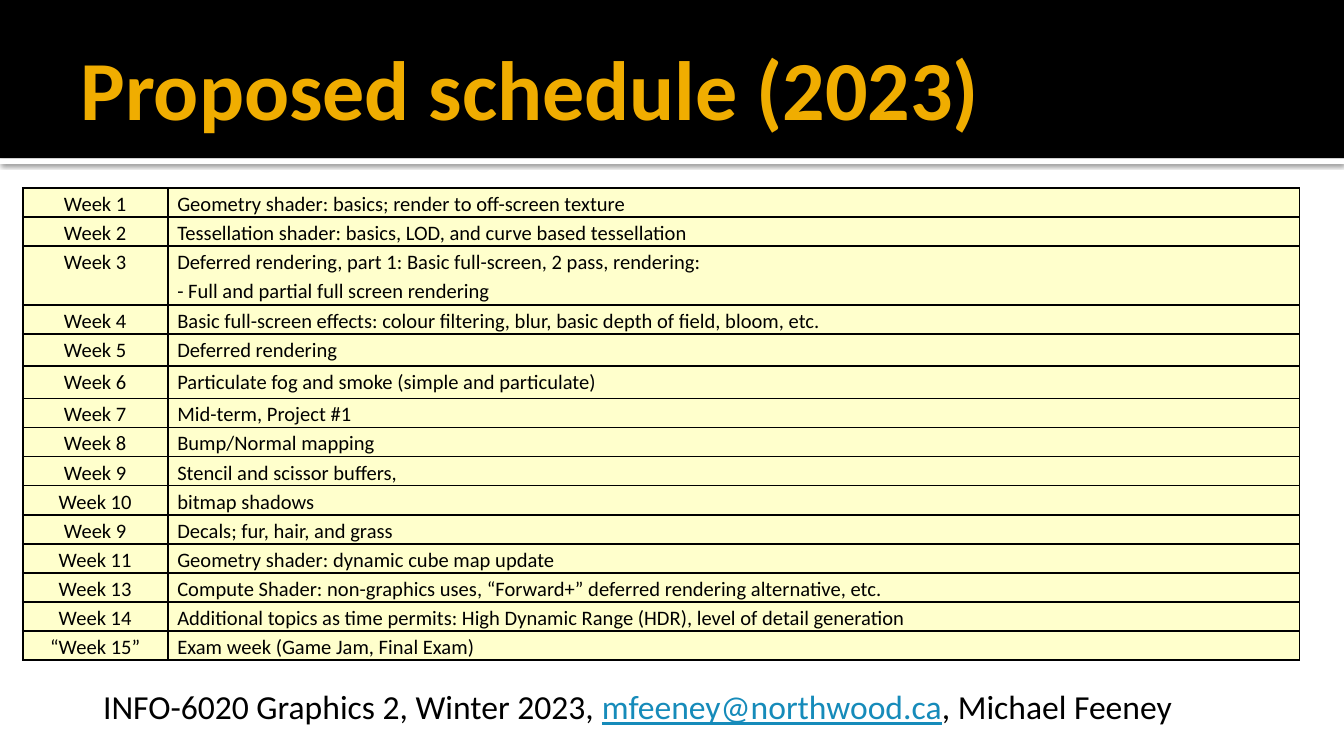
from lxml.etree import SubElement
from pptx import Presentation
from pptx.dml.color import RGBColor
from pptx.enum.shapes import MSO_SHAPE as Shape
from pptx.enum.text import MSO_ANCHOR as Anchor, PP_ALIGN as Align
from pptx.oxml import parse_xml
from pptx.oxml.ns import nsdecls, qn
from pptx.util import Cm, Pt

BLACK = RGBColor(0x00, 0x00, 0x00)
WHITE = RGBColor(0xFF, 0xFF, 0xFF)
GOLD = RGBColor(0xF0, 0xAD, 0x00)
CREAM = RGBColor(0xFF, 0xFF, 0xCC)
LINK_BLUE = RGBColor(0x16, 0x8B, 0xBA)

ROW_HEIGHT = 0.55
SCHEDULE = [
    ("Week 1", "Geometry shader: basics; render to off-screen texture"),
    ("Week 2", "Tessellation shader: basics, LOD, and curve based tessellation"),
    ("Week 3", "Deferred rendering, part 1: Basic full-screen, 2 pass, rendering:\n"
               "- Full and partial full screen rendering"),
    ("Week 4", "Basic full-screen effects: colour filtering, blur, "
               "basic depth of field, bloom, etc."),
    ("Week 5", "Deferred rendering"),
    ("Week 6", "Particulate fog and smoke (simple and particulate)"),
    ("Week 7", "Mid-term, Project #1"),
    ("Week 8", "Bump/Normal mapping"),
    ("Week 9", "Stencil and scissor buffers,"),
    ("Week 10", "bitmap shadows"),
    ("Week 9", "Decals; fur, hair, and grass"),
    ("Week 11", "Geometry shader: dynamic cube map update"),
    ("Week 13", "Compute Shader: non-graphics uses, “Forward+” deferred "
                "rendering alternative, etc."),
    ("Week 14", "Additional topics as time permits: High Dynamic Range (HDR), "
                "level of detail generation"),
    ("“Week 15”", "Exam week (Game Jam, Final Exam)"),
]
ROW_HEIGHTS = {"Week 3": 1.11, "Week 5": 0.61, "Week 6": 0.61}


class SlideBuilder:
    font_name = "Calibri"

    def __init__(self, slide):
        self.slide = slide

    def style(self, run, size, color, bold=False, underline=False):
        font = run.font
        font.name = self.font_name
        font.size = Pt(size)
        font.color.rgb = color
        font.bold = bold
        font.underline = underline

    def band(self, top, height, color):
        shape = self.slide.shapes.add_shape(
            Shape.RECTANGLE, 0, Cm(top), Cm(25.4), Cm(height))
        shape.shadow.inherit = False
        shape.fill.solid()
        shape.fill.fore_color.rgb = color
        shape.line.fill.background()
        return shape

    def drop_shadow(self, shape):
        effects = shape._element.spPr.find(qn("a:effectLst"))
        effects.append(parse_xml(
            f'<a:outerShdw {nsdecls("a")} blurRad="{Pt(2.5)}" dist="{Pt(0.8)}" '
            'dir="5400000" algn="tl" rotWithShape="0"><a:srgbClr val="000000">'
            '<a:alpha val="60000"/></a:srgbClr></a:outerShdw>'))

    def text(self, left, top, width, height, pieces, size, bold=False, anchor=Anchor.TOP):
        box = self.slide.shapes.add_textbox(Cm(left), Cm(top), Cm(width), Cm(height))
        text_frame = box.text_frame
        text_frame.word_wrap = True
        text_frame.vertical_anchor = anchor
        for content, color, underline in pieces:
            run = text_frame.paragraphs[0].add_run()
            run.text = content
            self.style(run, size, color, bold, underline)
        return text_frame

    def border(self, cell):
        properties = cell._tc.get_or_add_tcPr()
        for side in ("lnL", "lnR", "lnT", "lnB"):
            line = SubElement(properties, qn(f"a:{side}"), w=str(Pt(1)))
            fill = SubElement(line, qn("a:solidFill"))
            SubElement(fill, qn("a:srgbClr"), val=str(BLACK))

    def cell(self, cell, content, alignment):
        self.border(cell)
        cell.fill.solid()
        cell.fill.fore_color.rgb = CREAM
        cell.margin_left = cell.margin_right = Cm(0.18)
        cell.margin_top = cell.margin_bottom = 0
        cell.text_frame.text = content
        for paragraph in cell.text_frame.paragraphs:
            paragraph.alignment = alignment
            paragraph.line_spacing = 1.15
            self.style(paragraph.runs[0], 11, BLACK)

    def table(self, left, top, widths, rows):
        heights = [ROW_HEIGHTS.get(week, ROW_HEIGHT) for week, _ in rows]
        table = self.slide.shapes.add_table(
            len(rows), len(widths), Cm(left), Cm(top),
            Cm(sum(widths)), Cm(sum(heights))).table
        table.first_row = table.horz_banding = False
        for column, width in zip(table.columns, widths):
            column.width = Cm(width)
        for row, height, contents in zip(table.rows, heights, rows):
            row.height = Cm(height)
            for cell, content, alignment in zip(
                    row.cells, contents, (Align.CENTER, Align.LEFT)):
                self.cell(cell, content, alignment)


def main():
    presentation = Presentation()
    presentation.slide_width = Cm(25.4)
    presentation.slide_height = Cm(14.29)
    builder = SlideBuilder(presentation.slides.add_slide(presentation.slide_layouts[6]))

    builder.drop_shadow(builder.band(3, 0.1, WHITE))
    builder.band(0, 2.99, BLACK)
    title = builder.text(1.27, 0.33, 22.86, 2.62,
                         [("Proposed schedule (2023)", GOLD, False)],
                         45, bold=True, anchor=Anchor.MIDDLE)
    title.margin_right = Cm(0.13)
    builder.table(0.43, 3.55, (2.74, 21.39), SCHEDULE)
    builder.text(1.7, 12.85, 21.39, 1.02, [
        ("INFO-6020 Graphics 2, Winter 2023, ", BLACK, False),
        ("mfeeney@northwood.ca", LINK_BLUE, True),
        (", Michael Feeney", BLACK, False),
    ], 18)
    presentation.save("out.pptx")


if __name__ == "__main__":
    main()
